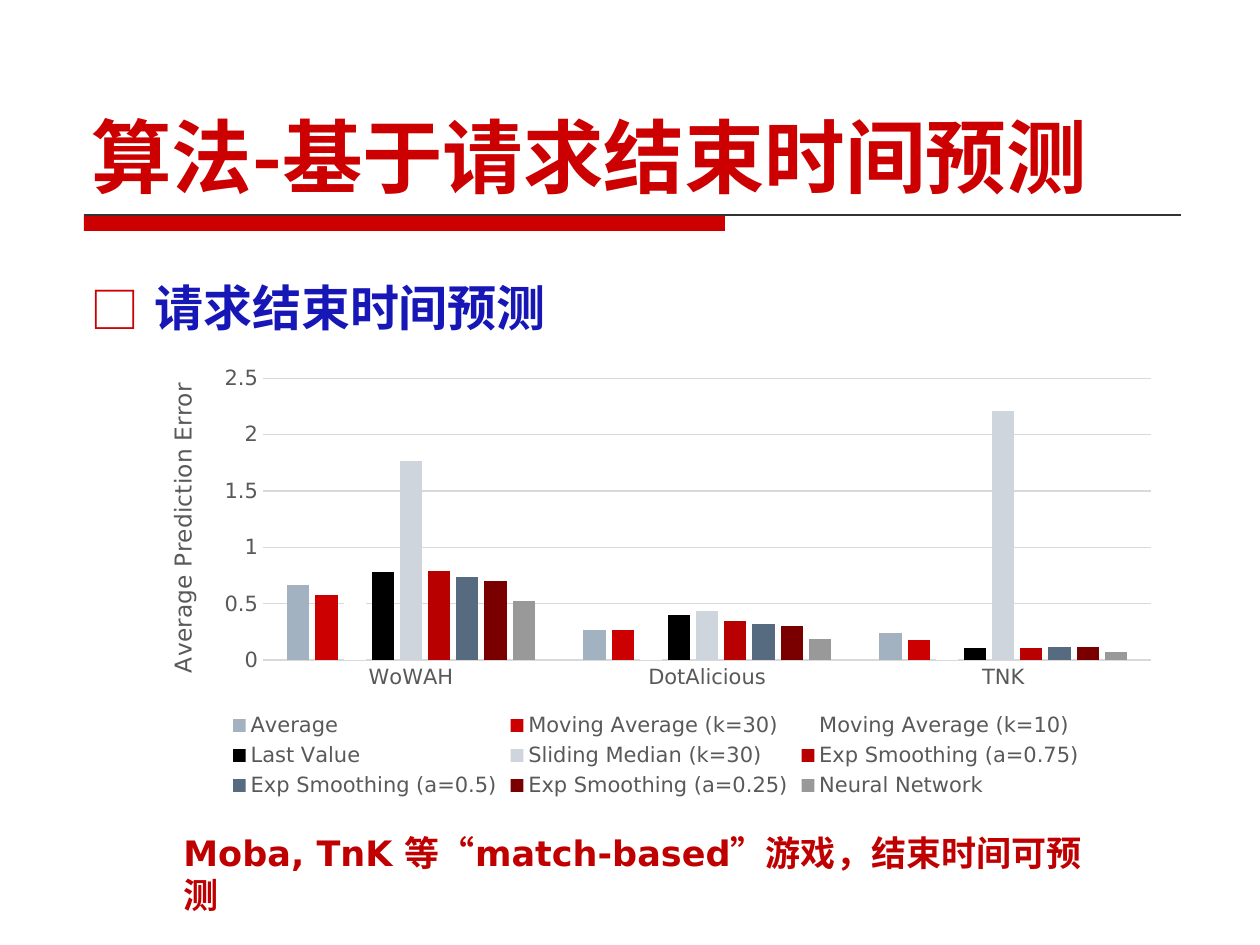
from lxml.etree import SubElement
from pptx import Presentation
from pptx.chart.data import CategoryChartData
from pptx.dml.color import RGBColor
from pptx.enum.chart import XL_CHART_TYPE, XL_LEGEND_POSITION, XL_TICK_MARK
from pptx.enum.shapes import MSO_CONNECTOR, MSO_SHAPE
from pptx.enum.text import MSO_ANCHOR
from pptx.oxml.ns import qn
from pptx.util import Emu, Pt

COLORS = {
    "red": "CC0000",
    "rule": "333333",
    "blue": "1717B7",
    "note": "C00000",
    "label": "595959",
    "grid": "D9D9D9",
}
LATIN = "DejaVu Sans"
CJK = "Noto Sans CJK SC"

GAMES = ["WoWAH", "DotAlicious", "TNK"]
PREDICTORS = [
    ("Average", "A3B2C1", (0.67, 0.27, 0.24)),
    ("Moving Average (k=30)", "CC0000", (0.58, 0.27, 0.18)),
    ("Moving Average (k=10)", "FFFFFF", (0.55, 0.26, 0.12)),
    ("Last Value", "000000", (0.78, 0.4, 0.11)),
    ("Sliding Median (k=30)", "CED5DD", (1.77, 0.44, 2.21)),
    ("Exp Smoothing (a=0.75)", "B90000", (0.79, 0.35, 0.11)),
    ("Exp Smoothing (a=0.5)", "566B80", (0.74, 0.32, 0.12)),
    ("Exp Smoothing (a=0.25)", "7A0000", (0.7, 0.3, 0.12)),
    ("Neural Network", "999999", (0.52, 0.19, 0.07)),
]


def px(length):
    return Emu(round(length * 914400 / 126))


def rgb(name):
    return RGBColor.from_string(COLORS.get(name, name))


def style_font(font, size, color, bold=False, name=LATIN):
    font.size = Pt(size)
    font.bold = bold
    font.name = name
    font.color.rgb = rgb(color)


def write(para, text, size=20, color="note", bold=True, font=LATIN):
    span = para.add_run()
    span.text = text
    style_font(span.font, size, color, bold, font)
    SubElement(span.font._element, qn("a:ea"), typeface=CJK)


class SlideBuilder:
    def __init__(self, deck):
        self.page = deck.slides.add_slide(deck.slide_layouts[6])

    def text(self, left, top, width, height, text, anchor=MSO_ANCHOR.TOP,
             bullet=None, indent=0, spacing=None, **style):
        box = self.page.shapes.add_textbox(px(left), px(top), px(width), px(height))
        frame = box.text_frame
        frame.word_wrap = True
        frame.vertical_anchor = anchor
        para = frame.paragraphs[0]
        if spacing:
            para.line_spacing = spacing
        if bullet:
            props = para._p.get_or_add_pPr()
            props.set("marL", str(px(indent)))
            props.set("indent", str(-px(indent)))
            tint = SubElement(props, qn("a:buClr"))
            SubElement(tint, qn("a:srgbClr"), val=COLORS["red"])
            SubElement(props, qn("a:buFont"), typeface=CJK)
            SubElement(props, qn("a:buChar"), char=bullet)
        write(para, text, **style)

    def bar(self, left, top, width, height, color):
        shape = self.page.shapes.add_shape(
            MSO_SHAPE.RECTANGLE, px(left), px(top), px(width), px(height))
        shape.shadow.inherit = False
        shape.fill.solid()
        shape.fill.fore_color.rgb = rgb(color)
        shape.line.fill.background()

    def rule(self, left, top, width, color):
        line = self.page.shapes.add_connector(
            MSO_CONNECTOR.STRAIGHT, px(left), px(top), px(left + width), px(top))
        line.line.color.rgb = rgb(color)
        line.line.width = Pt(0.75)
        SubElement(line._element.spPr, qn("a:effectLst"))

    def column_chart(self, left, top, width, height, categories, series, axis_title):
        data = CategoryChartData()
        data.categories = categories
        for name, _, values in series:
            data.add_series(name, values)
        chart = self.page.shapes.add_chart(
            XL_CHART_TYPE.COLUMN_CLUSTERED, px(left), px(top), px(width), px(height), data).chart
        style_font(chart.font, 12, "label")
        chart.has_title = False
        chart.has_legend = True
        chart.legend.position = XL_LEGEND_POSITION.BOTTOM
        chart.legend.include_in_layout = False
        style_font(chart.legend.font, 12, "label")

        plot = chart.plots[0]
        plot.gap_width = 219
        plot.overlap = -27
        plot.vary_by_categories = False
        for column, (_, color, _) in zip(plot.series, series):
            column.format.fill.solid()
            column.format.fill.fore_color.rgb = rgb(color)
            column.invert_if_negative = False

        for axis in (chart.category_axis, chart.value_axis):
            axis.major_tick_mark = XL_TICK_MARK.NONE
            axis.minor_tick_mark = XL_TICK_MARK.NONE
            style_font(axis.tick_labels.font, 12, "label")
        values = chart.value_axis
        values.format.line.fill.background()
        for line in (chart.category_axis.format.line, values.major_gridlines.format.line):
            line.color.rgb = rgb("grid")
            line.width = Pt(0.75)
        write(values.axis_title.text_frame.paragraphs[0], axis_title,
              size=13.3, color="label", bold=False)


def main():
    deck = Presentation()
    deck.slide_width, deck.slide_height = px(1260), px(945)
    builder = SlideBuilder(deck)
    builder.bar(84, 215, 641, 16, "red")
    builder.rule(84, 215, 1097, "rule")
    builder.text(79, 42, 1103, 168, "算法-基于请求结束时间预测",
                 anchor=MSO_ANCHOR.BOTTOM, size=46, color="red", font=CJK)
    builder.text(78, 242, 1145, 484, "请求结束时间预测", bullet="□", indent=64,
                 spacing=1.5, size=28, color="blue", font=CJK)
    builder.column_chart(140, 357, 1032, 446, GAMES, PREDICTORS, "Average Prediction Error")
    builder.text(171, 825, 958, 55, "Moba, TnK 等“match-based”游戏，结束时间可预测")
    deck.save("out.pptx")


if __name__ == "__main__":
    main()
